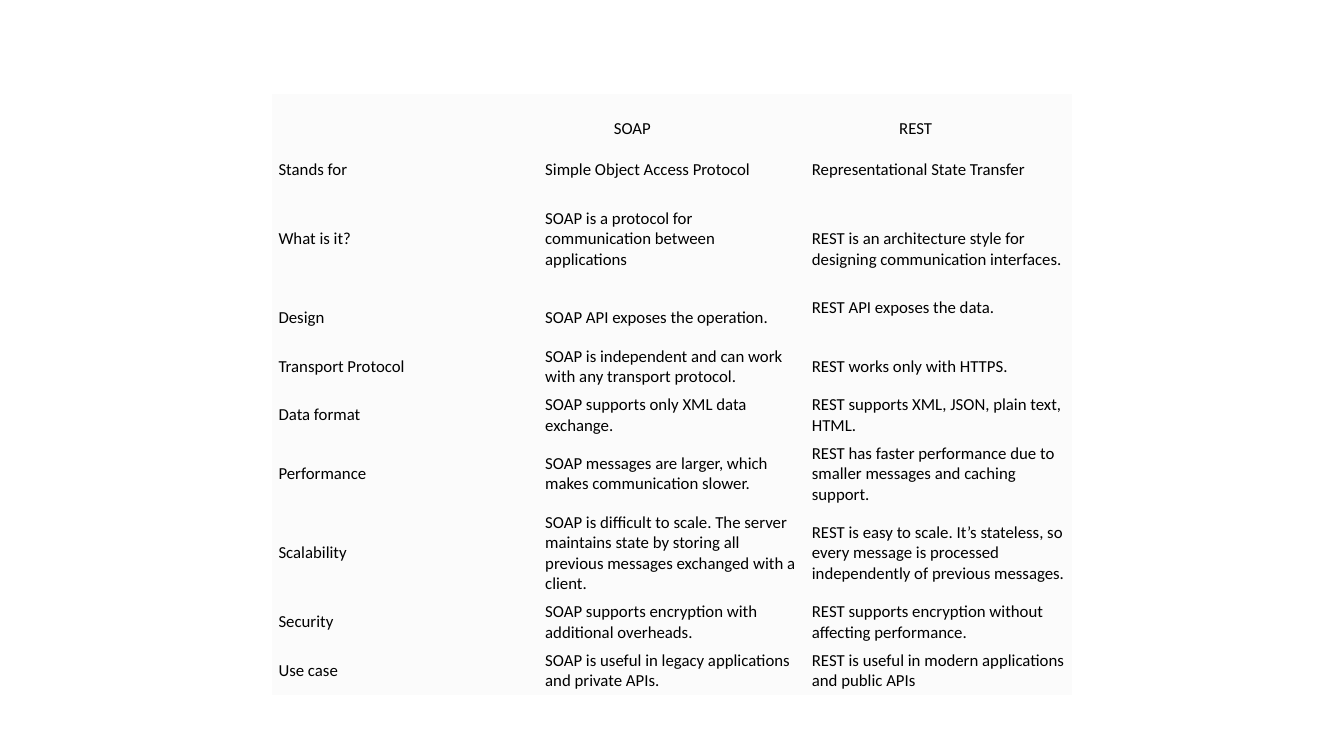
from pptx import Presentation
from pptx import util as u
from pptx.dml.color import RGBColor
from pptx.enum import text

NO_GRID = "{2D5ABB26-0587-4C30-8999-92F81FD0307C}"
LINE = 0.52
PAD = 0.09
SIDE = 0.17

rows = [
    (4, "Stands for", "SOAP\nSimple Object Access Protocol", "REST\nRepresentational State Transfer"),
    (5, "What is it?", "SOAP is a protocol for communication between applications",
     "REST is an architecture style for designing communication interfaces."),
    (2, "Design", "SOAP API exposes the operation.", "REST API exposes the data."),
    (2, "Transport Protocol", "SOAP is independent and can work with any transport protocol.",
     "REST works only with HTTPS."),
    (2, "Data format", "SOAP supports only XML data exchange.",
     "REST supports XML, JSON, plain text, HTML."),
    (3, "Performance", "SOAP messages are larger, which makes communication slower.",
     "REST has faster performance due to smaller messages and caching support."),
    (4, "Scalability",
     "SOAP is difficult to scale. The server maintains state by storing all previous messages exchanged with a client.",
     "REST is easy to scale. It’s stateless, so every message is processed independently of previous messages."),
    (2, "Security", "SOAP supports encryption with additional overheads.",
     "REST supports encryption without affecting performance."),
    (2, "Use case", "SOAP is useful in legacy applications and private APIs.",
     "REST is useful in modern applications and public APIs"),
]
lines_above = {(0, 0): 3, (0, 1): 1, (0, 2): 1, (1, 1): 1, (1, 2): 1}
lines_below = {(1, 1): 1, (2, 2): 1}
heading_indents = {1: 1.73, 2: 2.2}


def color(value):
    return RGBColor.from_string(value)


prs = Presentation()
prs.slide_width = u.Cm(33.87)
prs.slide_height = u.Cm(19.05)
s = prs.slides.add_slide(prs.slide_layouts[6])

heights = [2 * PAD + LINE * row[0] for row in rows]
frame = s.shapes.add_table(len(rows), 3, u.Cm(6.85), u.Cm(2.37), u.Cm(20.16), u.Cm(sum(heights)))
table = frame.table
table.first_row = False
table.horz_banding = False
table._tbl.tblPr[0].text = NO_GRID

for column in table.columns:
    column.width = u.Cm(6.72)

for i, (count, *values) in enumerate(rows):
    table.rows[i].height = u.Cm(heights[i])
    for j, value in enumerate(values):
        cell = table.cell(i, j)
        cell.fill.solid()
        cell.fill.fore_color.rgb = color("FBFBFB")
        cell.vertical_anchor = text.MSO_ANCHOR.MIDDLE
        cell.margin_left = cell.margin_right = u.Cm(SIDE)
        cell.margin_top = u.Cm(PAD + LINE * lines_above.get((i, j), 0))
        cell.margin_bottom = u.Cm(PAD + LINE * lines_below.get((i, j), 0))
        tf = cell.text_frame
        tf.text = value
        for p in tf.paragraphs:
            p.font.name = "Calibri"
            p.font.size = u.Pt(12)
            p.font.color.rgb = color("000000")
        if len(tf.paragraphs) > 1:
            heading = tf.paragraphs[0]
            heading._p.get_or_add_pPr().set("marL", str(u.Cm(heading_indents[j])))
            heading.space_after = u.Cm(LINE)

prs.save("out.pptx")
